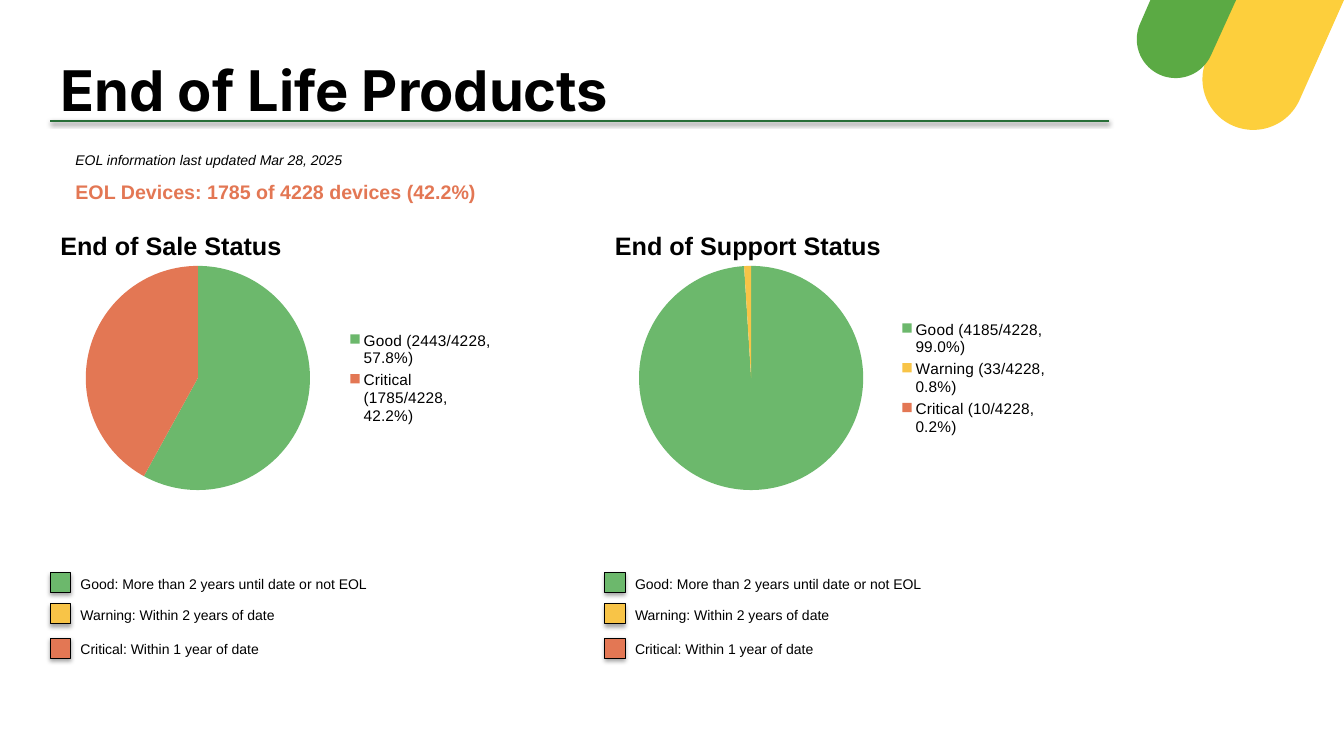
import math

import lxml.etree
import pptx
import pptx.chart.data
import pptx.dml.color
import pptx.enum.chart
import pptx.enum.shapes
import pptx.enum.text
import pptx.oxml.ns
import pptx.util

EMU_PER_PX = 9144
RGBColor = pptx.dml.color.RGBColor
BLACK = RGBColor(0x00, 0x00, 0x00)
GOOD = RGBColor(0x6C, 0xB8, 0x6C)
WARNING = RGBColor(0xF8, 0xC4, 0x47)
CRITICAL = RGBColor(0xE3, 0x77, 0x54)
RULE_GREEN = RGBColor(0x27, 0x6E, 0x37)
CORNER_YELLOW = RGBColor(0xFD, 0xCF, 0x3C)
CORNER_GREEN = RGBColor(0x5B, 0xAA, 0x44)

STATUS_KEY = [
    (0, GOOD, "Good: More than 2 years until date or not EOL"),
    (31, WARNING, "Warning: Within 2 years of date"),
    (65, CRITICAL, "Critical: Within 1 year of date"),
]
STATUS_REGIONS = [
    (50, "End of Sale Status", [
        ("Good (2443/4228, 57.8%)", 58, GOOD),
        ("Critical (1785/4228, 42.2%)", 42, CRITICAL),
    ]),
    (600, "End of Support Status", [
        ("Good (4185/4228, 99.0%)", 99, GOOD),
        ("Warning (33/4228, 0.8%)", 1, WARNING),
        ("Critical (10/4228, 0.2%)", 0, CRITICAL),
    ]),
]


def px(*lengths):
    """Turn pixel lengths into EMU."""
    return [pptx.util.Emu(round(length * EMU_PER_PX)) for length in lengths]


def set_font(font, size, color=BLACK, **values):
    """Apply size, colour and further values to a font."""
    font.color.rgb = color
    for name, value in {"name": "Arial", "size": pptx.util.Pt(size), **values}.items():
        setattr(font, name, value)


def write_text(shape, text, size, anchor=pptx.enum.text.MSO_ANCHOR.TOP, **values):
    """Write one left-aligned line into a shape."""
    frame = shape.text_frame
    settings = {
        "word_wrap": True,
        "auto_size": pptx.enum.text.MSO_AUTO_SIZE.NONE,
        "vertical_anchor": anchor,
    }
    for name, value in settings.items():
        setattr(frame, name, value)
    paragraph = frame.paragraphs[0]
    paragraph.alignment = pptx.enum.text.PP_ALIGN.LEFT
    run = paragraph.add_run()
    run.text = text
    set_font(run.font, size, **values)


def add_text(slide, box, text, size, **values):
    """Add a text box at a pixel box."""
    write_text(slide.shapes.add_textbox(*px(*box)), text, size, **values)


def drop_shadow(shape, distance, opacity):
    """Give a shape a soft black shadow below it."""
    properties = shape._element.spPr
    tag = pptx.oxml.ns.qn
    effects = properties.find(tag("a:effectLst"))
    if effects is None:
        effects = lxml.etree.SubElement(properties, tag("a:effectLst"))
    shadow = lxml.etree.SubElement(
        effects, tag("a:outerShdw"), blurRad=str(pptx.util.Pt(3.1)),
        dist=str(pptx.util.Pt(distance)), dir="5400000", rotWithShape="0")
    color = lxml.etree.SubElement(shadow, tag("a:srgbClr"), val=str(BLACK))
    lxml.etree.SubElement(color, tag("a:alpha"), val=str(opacity * 1000))


def add_corner_bar(slide, top_left, top_right, right_end, left_end, color):
    """Draw a slanted bar from the top edge, closed by a half circle."""
    center_x = (right_end[0] + left_end[0]) / 2
    center_y = (right_end[1] + left_end[1]) / 2
    dx, dy = right_end[0] - center_x, right_end[1] - center_y
    steps = 48
    angles = [math.pi * step / steps for step in range(steps + 1)]
    arc = [(center_x + dx * math.cos(angle) - dy * math.sin(angle),
            center_y + dy * math.cos(angle) + dx * math.sin(angle))
           for angle in angles]
    start, *outline = [px(*point) for point in (top_left, top_right, *arc)]
    builder = slide.shapes.build_freeform(*start)
    builder.add_line_segments(outline, close=True)
    bar = builder.convert_to_shape()
    bar.shadow.inherit = False
    bar.fill.solid()
    bar.fill.fore_color.rgb = color
    bar.line.fill.background()


def add_header(slide, left, top):
    """Place the title, its rule and the two summary lines."""
    title = slide.shapes.title
    box = px(left, top, 900, 80)
    for name, value in zip(("left", "top", "width", "height"), box):
        setattr(title, name, value)
    write_text(title, "End of Life Products", 40, name="Inter", bold=True)

    rule = slide.shapes.add_connector(
        pptx.enum.shapes.MSO_CONNECTOR.STRAIGHT,
        *px(left, top + 70, left + 1050, top + 70))
    rule.line.color.rgb = RULE_GREEN
    rule.line.width = pptx.util.Pt(2)
    drop_shadow(rule, 1.6, 38)

    add_text(slide, (left + 15, top + 95, 500, 30),
             "EOL information last updated Mar 28, 2025", 10, italic=True)
    add_text(slide, (left + 15, top + 124, 1000, 40),
             "EOL Devices: 1785 of 4228 devices (42.2%)", 14,
             color=CRITICAL, bold=True)


def add_status_pie(slide, box, slices):
    """Add a pie chart with a legend on the right."""
    chart_data = pptx.chart.data.CategoryChartData()
    chart_data.categories = [label for label, _, _ in slices]
    chart_data.add_series("Series 1", [value for _, value, _ in slices])
    chart = slide.shapes.add_chart(
        pptx.enum.chart.XL_CHART_TYPE.PIE, *px(*box), chart_data).chart
    set_font(chart.font, 18)
    chart.has_title = False
    chart.has_legend = True
    chart.legend.position = pptx.enum.chart.XL_LEGEND_POSITION.RIGHT
    chart.legend.include_in_layout = False
    set_font(chart.legend.font, 11)
    plot = chart.plots[0]
    plot.vary_by_categories = True
    for index, (_, _, color) in enumerate(slices):
        fill = plot.series[0].points[index].format.fill
        fill.solid()
        fill.fore_color.rgb = color


def add_status_key(slide, left, top):
    """Place the three colour squares and their meanings."""
    for offset, color, meaning in STATUS_KEY:
        square_top = top + offset
        square = slide.shapes.add_shape(
            pptx.enum.shapes.MSO_SHAPE.RECTANGLE, *px(left, square_top, 20, 20))
        square.shadow.inherit = False
        square.fill.solid()
        square.fill.fore_color.rgb = color
        square.line.color.rgb = BLACK
        square.line.width = pptx.util.Pt(0.75)
        drop_shadow(square, 1.8, 35)
        add_text(slide, (left + 20, square_top - 4, 450, 30), meaning, 10,
                 anchor=pptx.enum.text.MSO_ANCHOR.MIDDLE)


def add_status_region(slide, left, top, heading, slices):
    """Place a heading, its pie chart and the status key."""
    add_text(slide, (left, top, 450, 50), heading, 18, bold=True)
    add_status_pie(slide, (left, top + 26, 450, 250), slices)
    add_status_key(slide, left, top + 344)


def main():
    """Build and save the slide."""
    presentation = pptx.Presentation()
    presentation.slide_width, presentation.slide_height = px(1333, 750)
    slide = presentation.slides.add_slide(presentation.slide_layouts[5])
    add_corner_bar(slide, (1223, 0), (1333, 0), (1289, 99), (1197, 58), CORNER_YELLOW)
    add_corner_bar(slide, (1141, 0), (1226, 0), (1201, 55), (1131, 23), CORNER_GREEN)
    add_header(slide, 50, 50)
    for left, heading, slices in STATUS_REGIONS:
        add_status_region(slide, left, 224, heading, slices)
    presentation.save("out.pptx")


if __name__ == "__main__":
    main()
